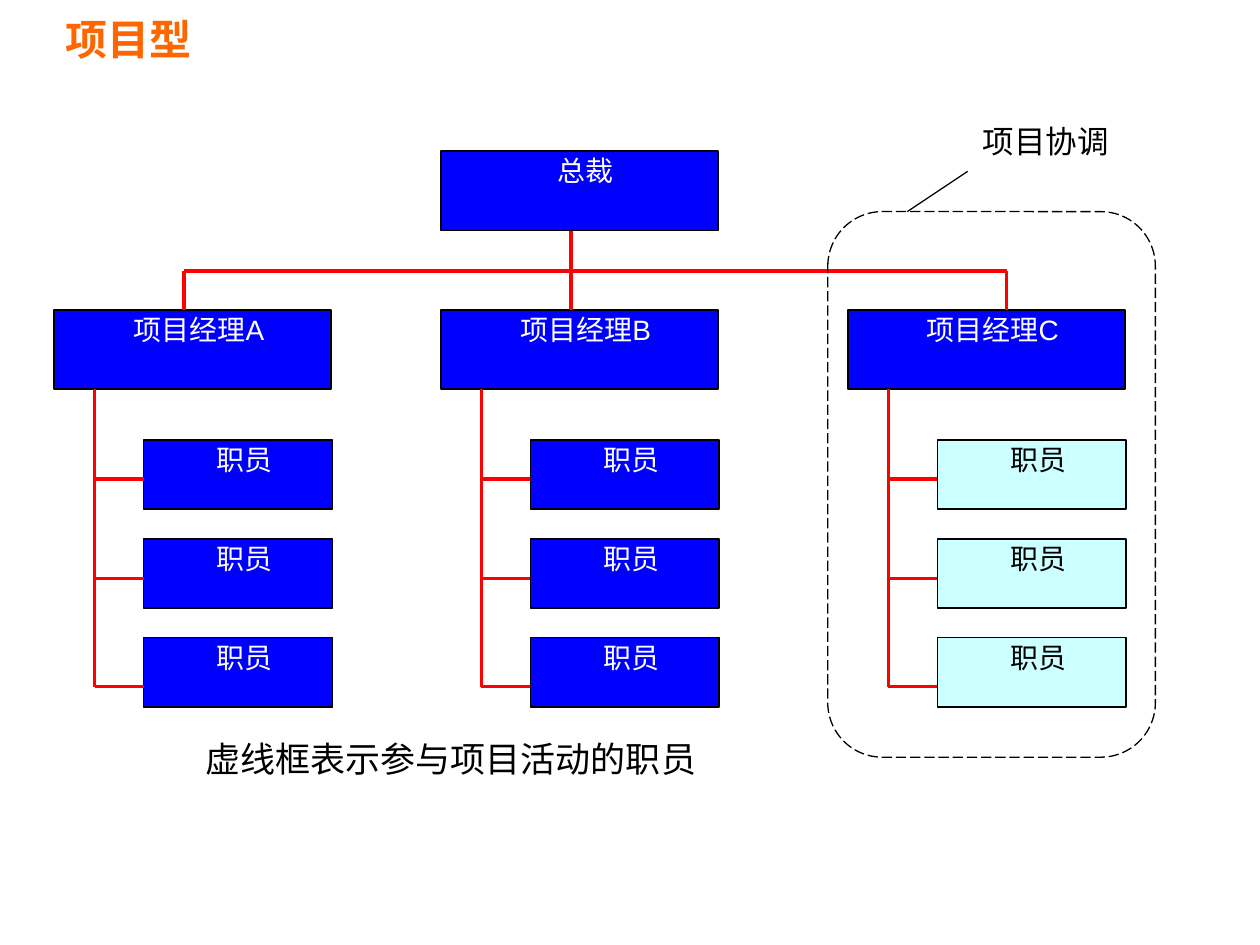
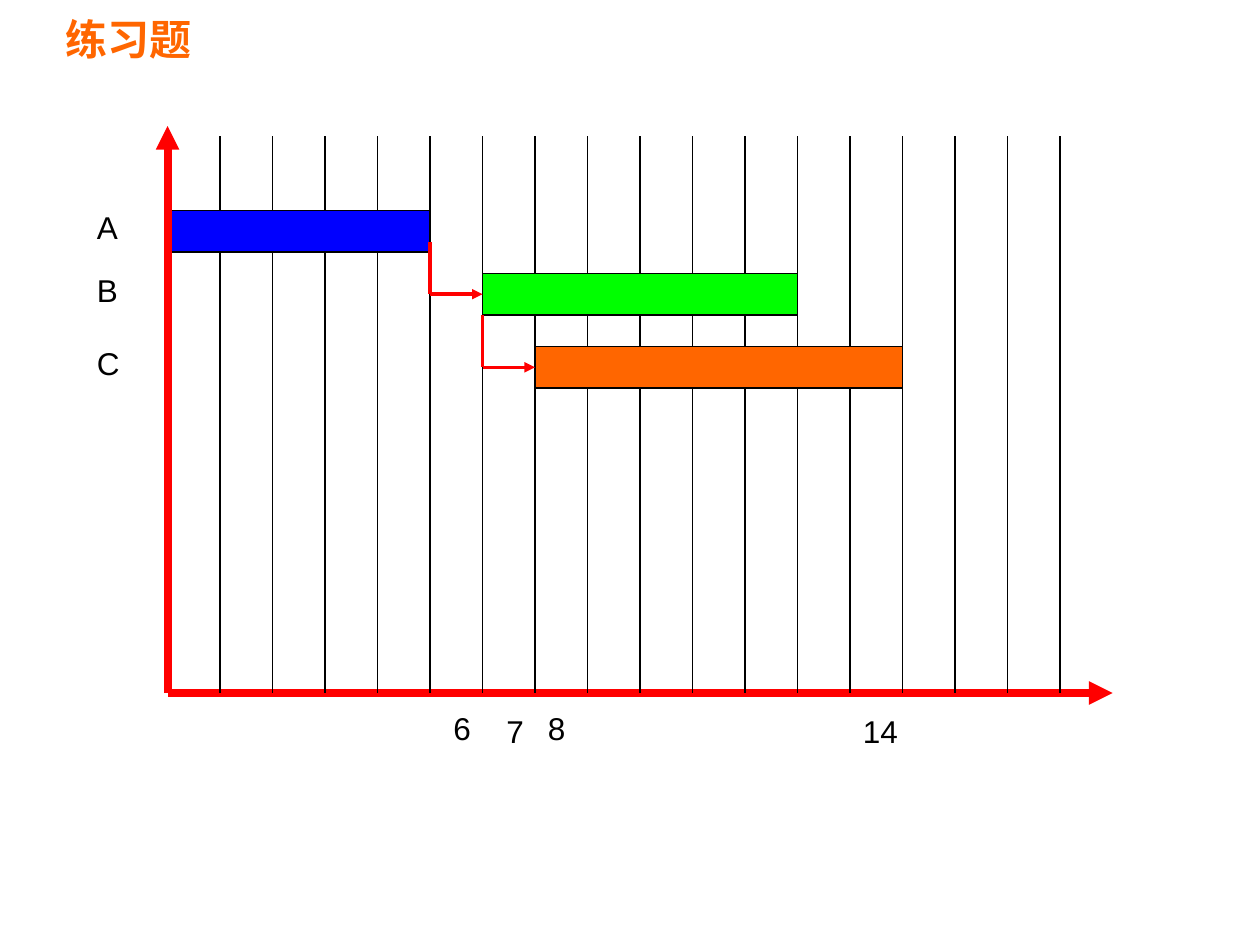
from typing import NamedTuple, Optional

from lxml.etree import SubElement
from pptx import Presentation
from pptx.dml.color import RGBColor
from pptx.enum.dml import MSO_LINE
from pptx.enum.shapes import MSO_CONNECTOR, MSO_SHAPE
from pptx.enum.text import MSO_ANCHOR, MSO_AUTO_SIZE, PP_ALIGN
from pptx.oxml.ns import qn
from pptx.util import Inches, Pt

BLUE, GREEN, ORANGE, CYAN = "0000FF", "00FF00", "FF6600", "CCFFFF"
RED, BLACK, WHITE = "FF0000", "000000", "FFFFFF"
FONT = "Arial"

BOX_WIDTH, BOX_HEIGHT = 2.2, 0.63
PRESIDENT_TOP, RAIL_TOP, MANAGER_TOP = 1.2, 2.15, 2.46
STAFF_TOP, STAFF_PITCH = 3.49, 0.785
BRANCH_LEVELS = (3.8, 4.59, 5.45)

ORIGIN, BASE, STEP = 1.33, 5.5, 5 / 12
GRID_TOP, GRID_COUNT, BAR_HEIGHT = 1.08, 17, 0.33


class Rect(NamedTuple):
    """A position and size in inches."""
    left: float
    top: float
    width: float
    height: float


class Team(NamedTuple):
    """A project manager's column in the organisation chart."""
    name: str
    left: float
    drop: float
    staff_fill: str
    staff_color: str


class Task(NamedTuple):
    """A bar of the schedule, measured in grid steps."""
    name: str
    start: int
    end: int
    top: float
    fill: str


class Label(NamedTuple):
    """A short text with its place and font."""
    text: str
    rect: Rect
    size: float = 18
    font: str = FONT
    align: PP_ALIGN = PP_ALIGN.LEFT
    margins: tuple = (0.1, 0.05, 0.1, 0.05)
    spacing: float = 1.0


TEAMS = (
    Team("项目经理A", 0.43, 1.46, BLUE, WHITE),
    Team("项目经理B", 3.5, 4.53, BLUE, WHITE),
    Team("项目经理C", 6.73, 7.99, CYAN, BLACK),
)
TASKS = (
    Task("A", 0, 5, 1.67, BLUE),
    Task("B", 6, 12, 2.17, GREEN),
    Task("C", 7, 14, 2.75, ORANGE),
)
ORG_LABELS = (
    Label("项目协调", Rect(7.67, 0.92, 1.26, 0.4), font="Lato", align=PP_ALIGN.CENTER),
    Label("虚线框表示参与项目活动的职员", Rect(1.58, 5.75, 6.83, 0.43), size=20,
          margins=(0.05, 0, 0.05, 0), spacing=1.3),
)
DAY_LABELS = (
    Label("6", Rect(3.5, 5.58, 0.42, 0.4)),
    Label("7", Rect(3.92, 5.6, 0.42, 0.4)),
    Label("8", Rect(4.25, 5.58, 0.42, 0.4)),
    Label("14", Rect(6.75, 5.6, 0.5, 0.4)),
)


def rgb(value: str) -> RGBColor:
    """Turn a hex string into a colour."""
    return RGBColor.from_string(value)


def inches(rect: Rect) -> list:
    """Convert a rectangle to lengths."""
    return [Inches(value) for value in rect]


def write(shape, text: str, size: float, color: str, align=PP_ALIGN.LEFT,
          margins=(0.1, 0.05, 0.1, 0.05), font: str = FONT, bold: bool = False):
    """Fill a shape with one formatted paragraph."""
    frame = shape.text_frame
    frame.text = text
    frame.word_wrap = True
    frame.auto_size = MSO_AUTO_SIZE.NONE
    (frame.margin_left, frame.margin_top,
     frame.margin_right, frame.margin_bottom) = inches(margins)
    paragraph = frame.paragraphs[0]
    paragraph.alignment = align
    run_font = paragraph.runs[0].font
    run_font.name, run_font.size, run_font.bold = font, Pt(size), bold
    run_font.color.rgb = rgb(color)
    return paragraph


def add_titled_slide(presentation, title: str):
    """Add a slide with the shared title style."""
    slide = presentation.slides.add_slide(presentation.slide_layouts[5])
    shape = slide.shapes.title
    shape.left, shape.top, shape.width, shape.height = inches(Rect(0.42, 0, 4.58, 0.62))
    write(shape, title, 24, ORANGE, bold=True)
    shape.text_frame.vertical_anchor = MSO_ANCHOR.MIDDLE
    return slide


def add_block(slide, rect: Rect, fill: Optional[str], line_width: float,
              kind=MSO_SHAPE.RECTANGLE):
    """Draw a black-edged preset shape."""
    shape = slide.shapes.add_shape(kind, *inches(rect))
    shape.shadow.inherit = False
    if fill:
        shape.fill.solid()
        shape.fill.fore_color.rgb = rgb(fill)
    else:
        shape.fill.background()
    shape.line.color.rgb = rgb(BLACK)
    shape.line.width = Pt(line_width)
    return shape


def add_org_box(slide, rect: Rect, text: str, fill: str = BLUE, color: str = WHITE) -> None:
    """Draw a labelled box of the organisation chart."""
    shape = add_block(slide, rect, fill, 1)
    write(shape, text, 16, color, PP_ALIGN.CENTER, (0.12, 0.02, 0.02, 0.02))
    shape.text_frame.vertical_anchor = MSO_ANCHOR.TOP


def add_line(slide, start: tuple, end: tuple, color: str = RED, width: float = 2,
             arrow: bool = False):
    """Draw a straight line, with an arrowhead at its end if asked."""
    line = slide.shapes.add_connector(MSO_CONNECTOR.STRAIGHT, *inches(start + end))
    line.line.color.rgb = rgb(color)
    line.line.width = Pt(width)
    if arrow:
        SubElement(line.line._get_or_add_ln(), qn("a:tailEnd"), type="triangle")
    SubElement(line._element.spPr, qn("a:effectLst"))
    return line


def add_label(slide, label: Label) -> None:
    """Draw a text box."""
    shape = slide.shapes.add_textbox(*inches(label.rect))
    paragraph = write(shape, label.text, label.size, BLACK, label.align,
                      label.margins, label.font)
    paragraph.line_spacing = label.spacing


def add_team(slide, team: Team) -> None:
    """Draw a manager, the staff below and the lines between them."""
    add_org_box(slide, Rect(team.left, MANAGER_TOP, BOX_WIDTH, BOX_HEIGHT), team.name)
    trunk, staff_left = team.left + 0.32, team.left + 0.71
    add_line(slide, (trunk, MANAGER_TOP + BOX_HEIGHT), (trunk, BRANCH_LEVELS[-1]))
    for index, level in enumerate(BRANCH_LEVELS):
        staff = Rect(staff_left, STAFF_TOP + index * STAFF_PITCH, 1.5, 0.55)
        add_org_box(slide, staff, "职员", team.staff_fill, team.staff_color)
        add_line(slide, (trunk, level), (staff_left, level))


def build_organisation(presentation) -> None:
    """Build the project organisation slide."""
    slide = add_titled_slide(presentation, "项目型")
    first, middle, last = TEAMS
    add_org_box(slide, Rect(middle.left, PRESIDENT_TOP, BOX_WIDTH, BOX_HEIGHT), "总裁")
    for team in TEAMS:
        add_team(slide, team)
    add_line(slide, (first.drop, RAIL_TOP), (last.drop, RAIL_TOP))
    for team in TEAMS:
        top = PRESIDENT_TOP + BOX_HEIGHT if team is middle else RAIL_TOP
        add_line(slide, (team.drop, top), (team.drop, MANAGER_TOP))
    frame = add_block(slide, Rect(6.57, 1.68, 2.6, 4.33), None, 0.75,
                      MSO_SHAPE.ROUNDED_RECTANGLE)
    frame.line.dash_style = MSO_LINE.LONG_DASH
    add_line(slide, (7.2, 1.68), (7.68, 1.36), BLACK, 0.75)
    for label in ORG_LABELS:
        add_label(slide, label)


def grid_x(step: int) -> float:
    """Give the horizontal place of a grid step."""
    return ORIGIN + step * STEP


def add_link(slide, x: float, top: float, task: Task, bar) -> None:
    """Lead a line down from a bar and an arrow into the next one."""
    middle = task.top + BAR_HEIGHT / 2
    add_line(slide, (x, top), (x, middle))
    arrow = add_line(slide, (x, middle), (grid_x(task.start), middle), arrow=True)
    arrow.end_connect(bar, 1)


def build_exercise(presentation) -> None:
    """Build the schedule exercise slide."""
    slide = add_titled_slide(presentation, "练习题")
    add_line(slide, (ORIGIN, BASE), (8.83, BASE), width=4.5, arrow=True)
    for step in range(1, GRID_COUNT + 1):
        add_line(slide, (grid_x(step), GRID_TOP), (grid_x(step), BASE), BLACK, 0.75)
    bars = []
    for task in TASKS:
        rect = Rect(grid_x(task.start), task.top, (task.end - task.start) * STEP, BAR_HEIGHT)
        bars.append(add_block(slide, rect, task.fill, 0.75))
        add_label(slide, Label(task.name, Rect(0.67, task.top - 0.07, 0.58, 0.4)))
    add_line(slide, (ORIGIN, BASE), (ORIGIN, 1), width=4.5, arrow=True)
    task_a, task_b, task_c = TASKS
    add_link(slide, grid_x(task_a.end), 1.92, task_b, bars[1])
    add_link(slide, grid_x(task_b.start), task_b.top + BAR_HEIGHT, task_c, bars[2])
    for label in DAY_LABELS:
        add_label(slide, label)


def main() -> None:
    """Build and save the presentation."""
    presentation = Presentation()
    presentation.slide_width, presentation.slide_height = Inches(10), Inches(7.5)
    build_organisation(presentation)
    build_exercise(presentation)
    presentation.save("out.pptx")


if __name__ == "__main__":
    main()
